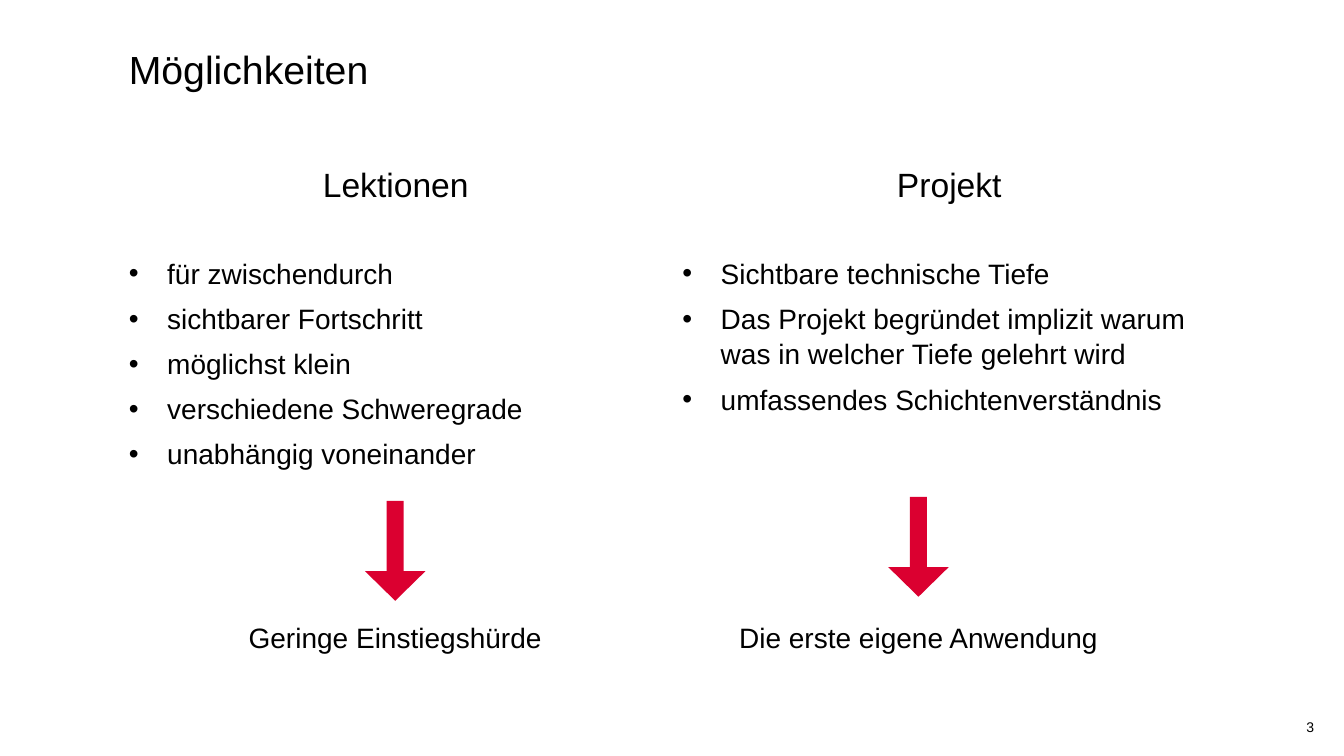
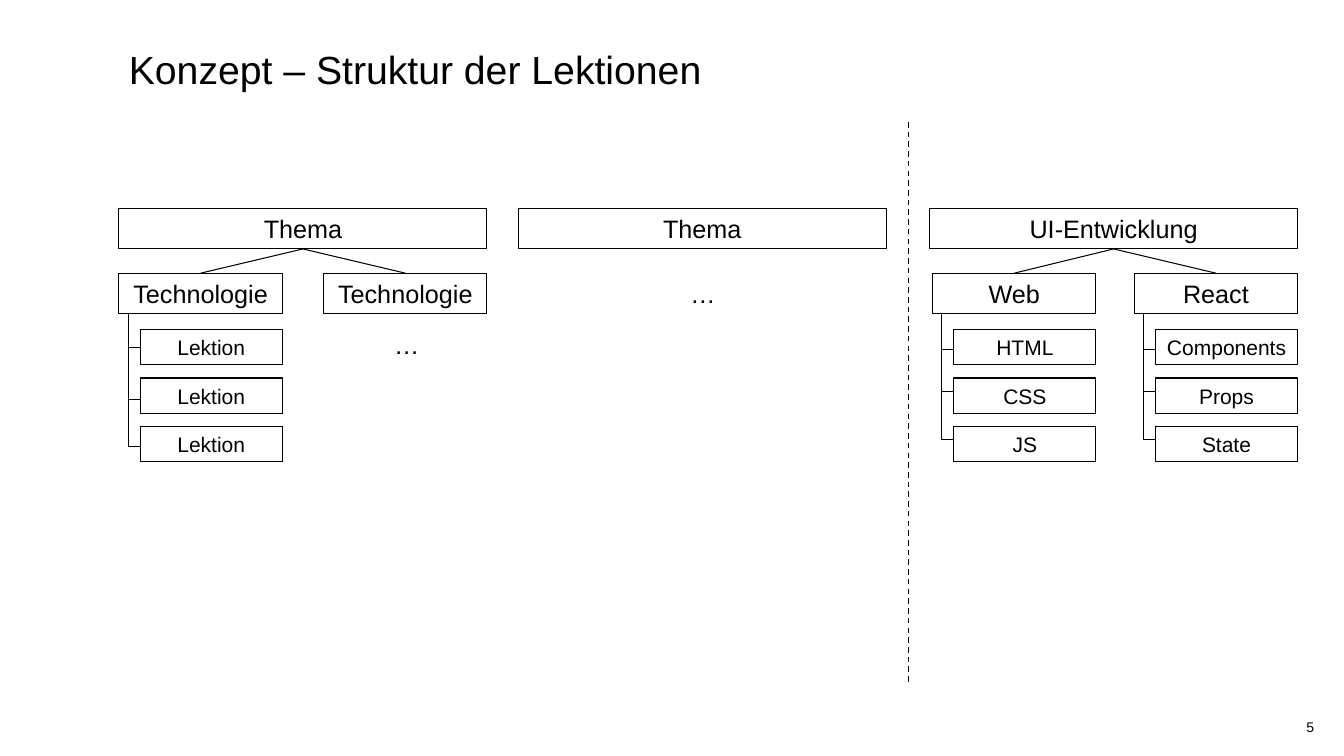
from lxml.etree import SubElement
from pptx import Presentation
from pptx.dml.color import RGBColor
from pptx.enum.dml import MSO_LINE_DASH_STYLE as Dash
from pptx.enum.shapes import MSO_CONNECTOR as Connector, MSO_SHAPE as Shape
from pptx.enum.text import MSO_ANCHOR as Anchor, PP_ALIGN as Align
from pptx.oxml.ns import qn
from pptx.util import Inches, Pt

COLORS = {"text": "000000", "line": "000000", "accent": "DB0030", "background": "FFFFFF"}
FONT = "Arial"

OPTIONS = [
    {
        "left": 1.18, "heading": "Lektionen",
        "bullets": [
            "für zwischendurch",
            "sichtbarer Fortschritt",
            "möglichst klein",
            "verschiedene Schweregrade",
            "unabhängig voneinander",
        ],
        "center": 3.92, "arrow_top": 4.97, "result": "Geringe Einstiegshürde",
    },
    {
        "left": 6.67, "heading": "Projekt",
        "bullets": [
            "Sichtbare technische Tiefe",
            "Das Projekt begründet implizit warum was in welcher Tiefe gelehrt wird",
            "umfassendes Schichtenverständnis",
        ],
        "center": 9.11, "arrow_top": 4.93, "result": "Die erste eigene Anwendung",
    },
]

THEMES = [
    {
        "name": "Thema", "left": 1.18, "branches": (3.45, 3.96, 4.43),
        "technologies": [
            ("Technologie", 1.18, ["Lektion", "Lektion", "Lektion"]),
            ("Technologie", 3.21, []),
        ],
    },
    {"name": "Thema", "left": 5.14, "branches": (), "technologies": []},
    {
        "name": "UI-Entwicklung", "left": 9.22, "branches": (3.47, 3.88, 4.36),
        "technologies": [
            ("Web", 9.25, ["HTML", "CSS", "JS"]),
            ("React", 11.25, ["Components", "Props", "State"]),
        ],
    },
]
ELLIPSES = [(3.81, 3.22), (6.75, 2.71)]

OPTION_WIDTH = 5.49
ARROW_WIDTH, ARROW_HEIGHT = 0.6, 0.99
RESULT_WIDTH = 4
BULLET_INDENT = 0.38
THEME_TOP, THEME_WIDTH = 2.07, 3.65
TECHNOLOGY_TOP, TECHNOLOGY_WIDTH = 2.71, 1.62
BOX_HEIGHT = 0.4
LESSON_TOP, LESSON_WIDTH, LESSON_HEIGHT, LESSON_STEP = 3.27, 1.41, 0.35, 0.48
TRUNK_OFFSET = 0.09


def color(name):
    return RGBColor.from_string(COLORS[name])


def add_bullet(paragraph):
    properties = paragraph._p.get_or_add_pPr()
    properties.set("marL", str(Inches(BULLET_INDENT)))
    properties.set("indent", str(-Inches(BULLET_INDENT)))
    SubElement(properties, qn("a:buFont"), typeface=FONT)
    SubElement(properties, qn("a:buChar"), char="•")


def write_text(shape, *lines, size=18, align=Align.LEFT, anchor=Anchor.TOP,
               bullets=False, space_before=0, line_spacing=None):
    frame = shape.text_frame
    frame.word_wrap = True
    frame.vertical_anchor = anchor
    for index, line in enumerate(lines):
        paragraph = frame.add_paragraph() if index else frame.paragraphs[0]
        paragraph.text = line
        paragraph.alignment = align
        if line_spacing:
            paragraph.line_spacing = line_spacing
        if index and space_before:
            paragraph.space_before = Pt(space_before)
        if bullets:
            add_bullet(paragraph)
        paragraph.font.size = Pt(size)
        paragraph.font.name = FONT
        paragraph.font.color.rgb = color("text")


def add_text(slide, left, top, width, height, *lines, **text_format):
    shape = slide.shapes.add_textbox(Inches(left), Inches(top), Inches(width), Inches(height))
    write_text(shape, *lines, **text_format)
    return shape


def add_box(slide, left, top, width, height, label, size=18):
    shape = slide.shapes.add_shape(
        Shape.RECTANGLE, Inches(left), Inches(top), Inches(width), Inches(height))
    shape.shadow.inherit = False
    shape.fill.background()
    shape.line.color.rgb = color("line")
    shape.line.width = Pt(0.75)
    write_text(shape, label, size=size, align=Align.CENTER, anchor=Anchor.MIDDLE)
    return shape


def add_line(slide, start_x, start_y, end_x, end_y, kind=Connector.STRAIGHT, width=0.75):
    line = slide.shapes.add_connector(
        kind, Inches(start_x), Inches(start_y), Inches(end_x), Inches(end_y))
    line.line.color.rgb = color("line")
    line.line.width = Pt(width)
    SubElement(line._element.spPr, qn("a:effectLst"))
    return line


def add_branch(slide, start_x, start_y, end_x, end_y):
    line = add_line(slide, start_x, start_y, end_x, end_y, kind=Connector.ELBOW)
    line._element.spPr.find(qn("a:prstGeom")).set("prst", "bentConnector2")


def add_slide(presentation, title, number):
    slide = presentation.slides.add_slide(presentation.slide_layouts[6])
    slide.background.fill.solid()
    slide.background.fill.fore_color.rgb = color("background")
    add_text(slide, 1.18, 0.35, 11.56, 0.67, title, size=28, anchor=Anchor.MIDDLE)
    add_text(slide, 11.04, 7.08, 2.09, 0.27, number, size=10,
             align=Align.RIGHT, anchor=Anchor.MIDDLE)
    return slide


def add_option(slide, option):
    add_text(slide, option["left"], 1.56, OPTION_WIDTH, 0.5, option["heading"],
             size=24, align=Align.CENTER, line_spacing=1.05)
    add_text(slide, option["left"], 2.48, OPTION_WIDTH, 2.3, *option["bullets"],
             size=20, bullets=True, space_before=7, line_spacing=1.05)
    arrow = slide.shapes.add_shape(
        Shape.DOWN_ARROW, Inches(option["center"] - ARROW_WIDTH / 2),
        Inches(option["arrow_top"]), Inches(ARROW_WIDTH), Inches(ARROW_HEIGHT))
    arrow.adjustments[0] = 0.28
    arrow.adjustments[1] = 0.49
    arrow.shadow.inherit = False
    arrow.fill.solid()
    arrow.fill.fore_color.rgb = color("accent")
    arrow.line.fill.background()
    add_text(slide, option["center"] - RESULT_WIDTH / 2, 6.11, RESULT_WIDTH, 0.44,
             option["result"], size=20, align=Align.CENTER)


def add_theme(slide, theme):
    theme_box = add_box(slide, theme["left"], THEME_TOP, THEME_WIDTH, BOX_HEIGHT, theme["name"])
    for name, left, lessons in theme["technologies"]:
        technology_box = add_box(
            slide, left, TECHNOLOGY_TOP, TECHNOLOGY_WIDTH, BOX_HEIGHT, name)
        link = add_line(slide, 0, 0, 1, 1)
        link.begin_connect(theme_box, 2)
        link.end_connect(technology_box, 0)
        lesson_left = left + TECHNOLOGY_WIDTH - LESSON_WIDTH
        for index, (lesson, branch_y) in enumerate(zip(lessons, theme["branches"])):
            add_box(slide, lesson_left, LESSON_TOP + index * LESSON_STEP,
                    LESSON_WIDTH, LESSON_HEIGHT, lesson, size=15)
            add_branch(slide, lesson_left, branch_y,
                       left + TRUNK_OFFSET, TECHNOLOGY_TOP + BOX_HEIGHT)


def main():
    presentation = Presentation()
    presentation.slide_width = Inches(13.33)
    presentation.slide_height = Inches(7.5)

    options_slide = add_slide(presentation, "Möglichkeiten", "3")
    for option in OPTIONS:
        add_option(options_slide, option)

    structure_slide = add_slide(presentation, "Konzept – Struktur der Lektionen", "5")
    for theme in THEMES:
        add_theme(structure_slide, theme)
    for left, top in ELLIPSES:
        add_text(structure_slide, left, top, 0.5, BOX_HEIGHT, "…")
    divider = add_line(structure_slide, 9.01, 1.21, 9.01, 6.78, width=1)
    divider.line.dash_style = Dash.DASH

    presentation.save("out.pptx")


if __name__ == "__main__":
    main()
